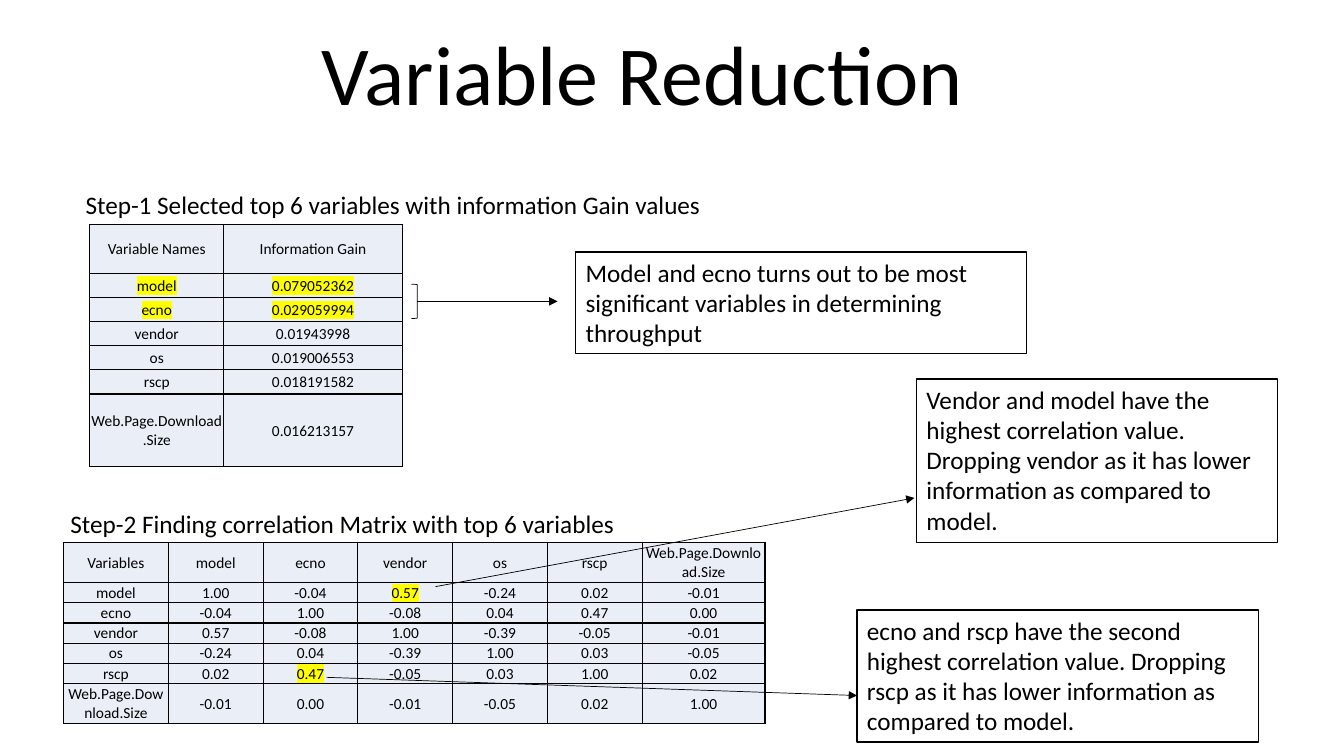
from lxml.etree import SubElement
from pptx import Presentation
from pptx.dml.color import RGBColor
from pptx.enum.shapes import MSO_CONNECTOR, MSO_SHAPE
from pptx.enum.text import MSO_ANCHOR, MSO_AUTO_SIZE, PP_ALIGN
from pptx.oxml import parse_xml
from pptx.oxml.ns import nsdecls, qn
from pptx.util import Pt

PX = 9144  # EMU per px, 100 px to the inch
FONT = "Calibri"
BLACK = RGBColor(0x00, 0x00, 0x00)
WHITE = RGBColor(0xFF, 0xFF, 0xFF)
PALE_BLUE = RGBColor(0xEA, 0xEF, 0xF7)
YELLOW = RGBColor(0xFF, 0xFF, 0x00)

GAIN_ROWS = [
    ["Variable Names", "Information Gain"],
    ["model", "0.079052362"],
    ["ecno", "0.029059994"],
    ["vendor", "0.01943998"],
    ["os", "0.019006553"],
    ["rscp", "0.018191582"],
    ["Web.Page.Download.Size", "0.016213157"],
]
GAIN_MARKED = {(1, 0), (1, 1), (2, 0), (2, 1)}

CORRELATION_ROWS = [
    ["Variables", "model", "ecno", "vendor", "os", "rscp", "Web.Page.Download.Size"],
    ["model", "1.00", "-0.04", "0.57", "-0.24", "0.02", "-0.01"],
    ["ecno", "-0.04", "1.00", "-0.08", "0.04", "0.47", "0.00"],
    ["vendor", "0.57", "-0.08", "1.00", "-0.39", "-0.05", "-0.01"],
    ["os", "-0.24", "0.04", "-0.39", "1.00", "0.03", "-0.05"],
    ["rscp", "0.02", "0.47", "-0.05", "0.03", "1.00", "0.02"],
    ["Web.Page.Download.Size", "-0.01", "0.00", "-0.01", "-0.05", "0.02", "1.00"],
]
CORRELATION_MARKED = {(1, 3), (5, 2)}


def emu(*lengths):
    return [length * PX for length in lengths]


def add_run(paragraph, text, size, marked=False):
    run = paragraph.add_run()
    run.text = text
    run.font.size = Pt(size)
    run.font.name = FONT
    run.font.color.rgb = BLACK
    if marked:
        highlight = parse_xml(
            f'<a:highlight {nsdecls("a")}><a:srgbClr val="{YELLOW}"/></a:highlight>')
        run.font.fill  # the highlight follows the fill and precedes the typeface
        run._r.rPr.find(qn("a:latin")).addprevious(highlight)


def set_text(shape, text):
    frame = shape.text_frame
    frame.word_wrap = True
    frame.auto_size = MSO_AUTO_SIZE.SHAPE_TO_FIT_TEXT
    frame.vertical_anchor = MSO_ANCHOR.TOP
    frame.paragraphs[0].alignment = PP_ALIGN.LEFT
    add_run(frame.paragraphs[0], text, 18)


def add_title(slide, text, box):
    title = slide.shapes.title
    title.left, title.top, title.width, title.height = emu(*box)
    title.text_frame.vertical_anchor = MSO_ANCHOR.BOTTOM
    paragraph = title.text_frame.paragraphs[0]
    paragraph.alignment = PP_ALIGN.CENTER
    paragraph.line_spacing = 0.9
    add_run(paragraph, text, 60)


def add_label(slide, text, box):
    set_text(slide.shapes.add_textbox(*emu(*box)), text)


def add_callout(slide, text, box):
    shape = slide.shapes.add_shape(MSO_SHAPE.RECTANGLE, *emu(*box))
    shape.shadow.inherit = False
    shape.fill.solid()
    shape.fill.fore_color.rgb = WHITE
    shape.line.color.rgb = BLACK
    shape.line.width = Pt(1)
    set_text(shape, text)


def add_bracket(slide, box):
    bracket = slide.shapes.add_shape(MSO_SHAPE.RIGHT_BRACKET, *emu(*box))
    bracket.shadow.inherit = False
    bracket.fill.background()
    bracket.line.color.rgb = BLACK
    bracket.line.width = Pt(0.5)


def add_arrow(slide, start, end):
    arrow = slide.shapes.add_connector(MSO_CONNECTOR.STRAIGHT, *emu(*start, *end))
    arrow.line.color.rgb = BLACK
    arrow.line.width = Pt(0.5)
    SubElement(arrow.line._get_or_add_ln(), qn("a:tailEnd"), type="triangle")
    SubElement(arrow._element.spPr, qn("a:effectLst"))


def format_cell(cell, text, marked):
    cell.margin_left, cell.margin_top, cell.margin_right, cell.margin_bottom = emu(1, 1, 1, 0)
    cell.vertical_anchor = MSO_ANCHOR.MIDDLE
    cell.fill.solid()
    cell.fill.fore_color.rgb = PALE_BLUE
    paragraph = cell.text_frame.paragraphs[0]
    paragraph.alignment = PP_ALIGN.CENTER
    add_run(paragraph, text, 11, marked)
    # Borders come before the fill
    for index, side in enumerate("LRTB"):
        border = parse_xml(
            f'<a:ln{side} {nsdecls("a")} w="{Pt(1)}"><a:solidFill>'
            f'<a:srgbClr val="{BLACK}"/></a:solidFill></a:ln{side}>')
        cell._tc.tcPr.insert(index, border)


def add_grid(slide, rows, marked, corner, widths, heights):
    frame = slide.shapes.add_table(
        len(rows), len(widths), *emu(*corner, sum(widths), sum(heights)))
    table = frame.table
    table.first_row = table.horz_banding = False
    for column, width in zip(table.columns, widths):
        column.width = width * PX
    for row, height in zip(table.rows, heights):
        row.height = height * PX
    for r, values in enumerate(rows):
        for c, value in enumerate(values):
            format_cell(table.cell(r, c), value, (r, c) in marked)


def main():
    presentation = Presentation()
    presentation.slide_width, presentation.slide_height = emu(1333, 750)
    slide = presentation.slides.add_slide(presentation.slide_layouts[0])
    subtitle = slide.placeholders[1]._element
    subtitle.getparent().remove(subtitle)

    add_title(slide, "Variable Reduction", (167, 23, 940, 105))

    # Tables and their headings
    add_grid(slide, CORRELATION_ROWS, CORRELATION_MARKED, (63, 538),
             [104] + [94] * 5 + [122], [40] + [20] * 5 + [40])
    add_grid(slide, GAIN_ROWS, GAIN_MARKED, (89, 223),
             [133, 177], [48] + [24] * 5 + [72])
    add_label(slide, "Step-1 Selected top 6 variables with information Gain values",
              (75, 183, 679, 40))
    add_label(slide, "Step-2 Finding correlation Matrix with top 6 variables",
              (60, 499, 679, 40))

    # Most significant variables
    add_callout(slide, "Model and ecno turns out to be most significant variables "
                "in determining throughput", (571, 250, 447, 101))
    add_bracket(slide, (408, 282, 6, 34))
    add_arrow(slide, (414, 299), (553, 299))

    # Dropped variables
    add_arrow(slide, (432, 582), (907, 494))
    add_callout(slide, "Vendor and model have the highest correlation value. Dropping vendor "
                "as it has lower information as compared to model.", (909, 376, 358, 162))
    add_arrow(slide, (324, 672), (850, 690))
    add_callout(slide, "ecno and rscp have the second highest correlation value. Dropping rscp "
                "as it has lower information as compared to model.", (850, 605, 398, 131))

    presentation.save("out.pptx")


if __name__ == "__main__":
    main()
